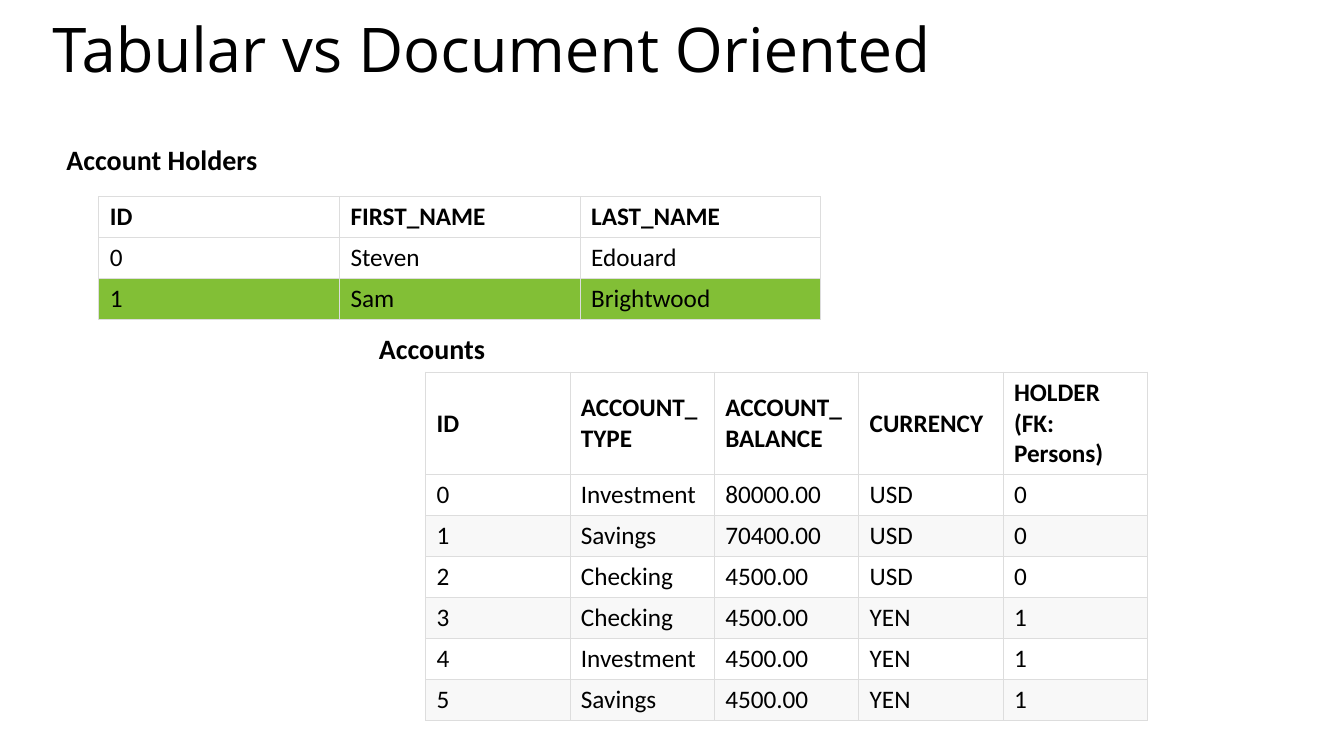
from lxml.etree import SubElement
from pptx import Presentation
from pptx.dml.color import RGBColor
from pptx.enum.text import MSO_ANCHOR, MSO_AUTO_SIZE, PP_ALIGN
from pptx.oxml.ns import qn
from pptx.util import Inches, Pt

BORDER = "DDDDDD"
TABLE_WIDTH = 7.16
ROW_HEIGHT = 0.4


def color(hex_code):
    """Turn a hex string into a colour."""
    return RGBColor.from_string(hex_code)


def style(paragraph, size, bold=False, name="Calibri"):
    """Set the black font of a whole paragraph."""
    font = paragraph.font
    font.name, font.size, font.bold = name, Pt(size), bold
    font.color.rgb = color("000000")


deck = Presentation()
deck.slide_width, deck.slide_height = Inches(13.33), Inches(7.5)
slide = deck.slides.add_slide(deck.slide_layouts[5])

title = slide.shapes.title
title.left, title.top = Inches(0.42), Inches(0.2)
title.width, title.height = Inches(12.6), Inches(1.16)
title.text_frame.text = "Tabular vs Document Oriented"
title.text_frame.vertical_anchor = MSO_ANCHOR.TOP
title.text_frame.auto_size = MSO_AUTO_SIZE.NONE
heading = title.text_frame.paragraphs[0]
heading.alignment = PP_ALIGN.LEFT
heading.line_spacing = 0.8
style(heading, 44, name="Open Sans")

holders = [
    ("ID", "FIRST_NAME", "LAST_NAME"),
    ("0", "Steven", "Edouard"),
    ("1", "Sam", "Brightwood"),
]
accounts = [
    ("ID", "ACCOUNT_TYPE", "ACCOUNT_BALANCE", "CURRENCY", "HOLDER (FK: Persons)"),
    ("0", "Investment", "80000.00", "USD", "0"),
    ("1", "Savings", "70400.00", "USD", "0"),
    ("2", "Checking", "4500.00", "USD", "0"),
    ("3", "Checking", "4500.00", "YEN", "1"),
    ("4", "Investment", "4500.00", "YEN", "1"),
    ("5", "Savings", "4500.00", "YEN", "1"),
]

# Records, left, top, header height, fill of every second data row
tables = [
    (holders, 0.98, 1.95, ROW_HEIGHT, "82BF36"),
    (accounts, 4.22, 3.69, 1.02, "F8F8F8"),
]
for records, left, top, header_height, band in tables:
    column_count = len(records[0])
    table = slide.shapes.add_table(
        len(records), column_count, Inches(left), Inches(top),
        Inches(TABLE_WIDTH), Inches(header_height + ROW_HEIGHT * (len(records) - 1)),
    ).table
    for column in table.columns:
        column.width = Inches(TABLE_WIDTH / column_count)
    for row_index, record in enumerate(records):
        is_header = row_index == 0
        table.rows[row_index].height = Inches(header_height if is_header else ROW_HEIGHT)
        for column_index, value in enumerate(record):
            cell = table.cell(row_index, column_index)
            cell.text = value
            cell.vertical_anchor = MSO_ANCHOR.MIDDLE
            cell.margin_left = cell.margin_right = Inches(0.11)
            style(cell.text_frame.paragraphs[0], 18, bold=is_header)
            properties = cell._tc.get_or_add_tcPr()
            for side in ("a:lnL", "a:lnR", "a:lnT", "a:lnB"):
                edge = SubElement(properties, qn(side), w=str(Pt(0.6)))
                edge_fill = SubElement(edge, qn("a:solidFill"))
                SubElement(edge_fill, qn("a:srgbClr"), val=BORDER)
            is_banded = not is_header and row_index % 2 == 0
            cell.fill.solid()
            cell.fill.fore_color.rgb = color(band if is_banded else "FFFFFF")

captions = [
    ("Account Holders", 0.56, 1.36, 2.11),
    ("Accounts", 3.66, 3.24, 1.26),
]
for wording, left, top, width in captions:
    caption = slide.shapes.add_textbox(
        Inches(left), Inches(top), Inches(width), Inches(0.44)
    ).text_frame
    caption.text = wording
    caption.word_wrap = False
    caption.auto_size = MSO_AUTO_SIZE.SHAPE_TO_FIT_TEXT
    style(caption.paragraphs[0], 20, bold=True)

deck.save("out.pptx")
